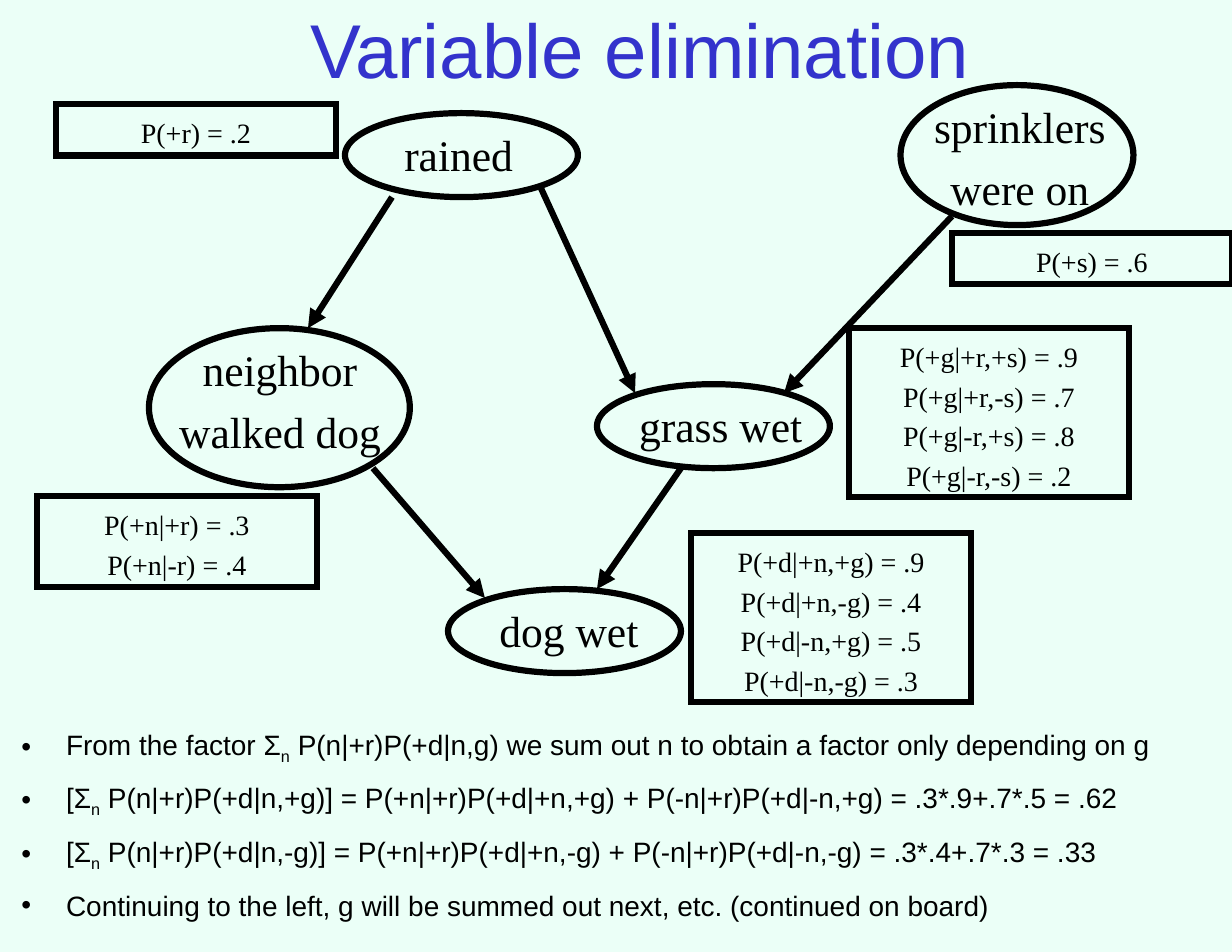
from dataclasses import dataclass

from lxml.etree import SubElement
from pptx import Presentation
from pptx.dml.color import RGBColor
from pptx.enum.shapes import MSO_CONNECTOR, MSO_SHAPE
from pptx.enum.text import MSO_ANCHOR, MSO_AUTO_SIZE, PP_ALIGN
from pptx.oxml.ns import qn
from pptx.util import Inches, Pt


@dataclass(frozen=True)
class Theme:
    background: RGBColor = RGBColor(0xEB, 0xFF, 0xF7)
    title: RGBColor = RGBColor(0x33, 0x33, 0xCC)
    ink: RGBColor = RGBColor(0, 0, 0)
    sans: str = "Arial"
    serif: str = "Times New Roman"
    title_size: Pt = Pt(49)
    node_size: Pt = Pt(28)
    text_size: Pt = Pt(18)
    line_width: Pt = Pt(4)


theme = Theme()


def add_run(p, text, size, font, color=theme.ink):
    r = p.add_run()
    r.text = text
    r.font.size, r.font.name = size, font
    r.font.color.rgb = color
    return r


def write_lines(tf, lines, size):
    """Centred serif lines, one paragraph each, from the top of the frame."""
    tf.word_wrap = True
    tf.vertical_anchor = MSO_ANCHOR.TOP
    for i, line in enumerate(lines):
        p = tf.add_paragraph() if i else tf.paragraphs[0]
        p.alignment, p.line_spacing = PP_ALIGN.CENTER, 1.18
        add_run(p, line, size, theme.serif)


prs = Presentation()
prs.slide_width, prs.slide_height = Inches(11), Inches(8.5)
s = prs.slides.add_slide(prs.slide_layouts[5])
s.background.fill.solid()
s.background.fill.fore_color.rgb = theme.background

# Title
title = s.shapes.title
title.left, title.top = Inches(0.92), Inches(0)
title.width, title.height = Inches(9.58), Inches(0.67)
tf = title.text_frame
tf.auto_size = MSO_AUTO_SIZE.NONE
tf.vertical_anchor = MSO_ANCHOR.MIDDLE
p = tf.paragraphs[0]
p.alignment, p.line_spacing = PP_ALIGN.CENTER, 1.24
add_run(p, "Variable elimination", theme.title_size, theme.sans, theme.title)

# Network nodes: label, ellipse box, label left and width, side margin
nodes = [
    ("rained", (3.08, 1.01, 2.08, 0.75), 3.51, 1.17, 0),
    ("sprinklers were on", (8.04, 0.76, 2.08, 1.25), 7.96, 2.29, 0.1),
    ("grass wet", (5.33, 3.43, 2.08, 0.75), 5.61, 1.65, 0),
    ("neighbor walked dog", (1.33, 2.93, 2.33, 1.42), 1.17, 2.66, 0.1),
    ("dog wet", (4, 5.26, 2.08, 0.75), 3.75, 2.66, 0.1),
]
for label, box, left, width, margin in nodes:
    ellipse = s.shapes.add_shape(MSO_SHAPE.OVAL, *map(Inches, box))
    ellipse.shadow.inherit = False
    ellipse.fill.background()
    ellipse.line.color.rgb, ellipse.line.width = theme.ink, theme.line_width
    height = 1.2 if box[3] > 1 else 0.65
    name = s.shapes.add_textbox(Inches(left), Inches(box[1]), Inches(width), Inches(height))
    name.text_frame.margin_left = name.text_frame.margin_right = Inches(margin)
    write_lines(name.text_frame, [label], theme.node_size)

# Arrows from cause to effect
arrows = [
    (4.83, 1.68, 5.67, 3.51),  # rained to grass wet
    (8.5, 1.93, 7, 3.51),  # sprinklers to grass wet
    (3.5, 1.76, 2.75, 2.93),  # rained to neighbor
    (3.33, 4.18, 4.33, 5.34),  # neighbor to dog wet
    (6.08, 4.18, 5.33, 5.26),  # grass wet to dog wet
]
for ends in arrows:
    arrow = s.shapes.add_connector(MSO_CONNECTOR.STRAIGHT, *map(Inches, ends))
    arrow.line.color.rgb, arrow.line.width = theme.ink, theme.line_width
    SubElement(arrow.line._get_or_add_ln(), qn("a:tailEnd"), type="triangle")
    SubElement(arrow._element.spPr, qn("a:effectLst"))

# Probability tables, with square corners
tables = [
    (0.5, 0.93, ["P(+r) = .2"]),
    (0.33, 4.43, ["P(+n|+r) = .3", "P(+n|-r) = .4"]),
    (8.5, 2.08, ["P(+s) = .6"]),
    (7.58, 2.93, ["P(+g|+r,+s) = .9", "P(+g|+r,-s) = .7",
                  "P(+g|-r,+s) = .8", "P(+g|-r,-s) = .2"]),
    (6.17, 4.76, ["P(+d|+n,+g) = .9", "P(+d|+n,-g) = .4",
                  "P(+d|-n,+g) = .5", "P(+d|-n,-g) = .3"]),
]
for left, top, lines in tables:
    height = 0.11 + 0.35 * len(lines)
    table = s.shapes.add_shape(MSO_SHAPE.RECTANGLE, Inches(left), Inches(top),
                               Inches(2.5), Inches(height))
    table.shadow.inherit = False
    table.fill.background()
    table.line.color.rgb, table.line.width = theme.ink, theme.line_width
    SubElement(table.line._get_or_add_ln(), qn("a:miter"), lim="800000")
    write_lines(table.text_frame, lines, theme.text_size)

# Bullets: text before the subscript n, text after it
bullets = [
    ("From the factor Σ",
     " P(n|+r)P(+d|n,g) we sum out n to obtain a factor only depending on g"),
    ("[Σ", " P(n|+r)P(+d|n,+g)] = P(+n|+r)P(+d|+n,+g) + P(-n|+r)P(+d|-n,+g) = .3*.9+.7*.5 = .62"),
    ("[Σ", " P(n|+r)P(+d|n,-g)] = P(+n|+r)P(+d|+n,-g) + P(-n|+r)P(+d|-n,-g) = .3*.4+.7*.3 = .33"),
    ("Continuing to the left, g will be summed out next, etc. (continued on board)", None),
]
body = s.shapes.add_textbox(Inches(0.08), Inches(6.42), Inches(10.92), Inches(2.08))
tf = body.text_frame
tf.word_wrap = True
tf.margin_left = tf.margin_right = Inches(0.11)
tf.margin_top = tf.margin_bottom = Inches(0.06)
for i, (before, after) in enumerate(bullets):
    p = tf.add_paragraph() if i else tf.paragraphs[0]
    p.line_spacing, p.space_before = 1.04, Pt(9)
    pPr = p._p.get_or_add_pPr()
    pPr.set("marL", str(Inches(0.4)))
    pPr.set("indent", str(-Inches(0.4)))
    SubElement(pPr, qn("a:buFont"), typeface=theme.sans)
    SubElement(pPr, qn("a:buChar"), char="•")
    add_run(p, before, theme.text_size, theme.sans)
    if after:
        r = add_run(p, "n", theme.text_size, theme.sans)
        r._r.get_or_add_rPr().set("baseline", "-25000")
        add_run(p, after, theme.text_size, theme.sans)

prs.save("out.pptx")
